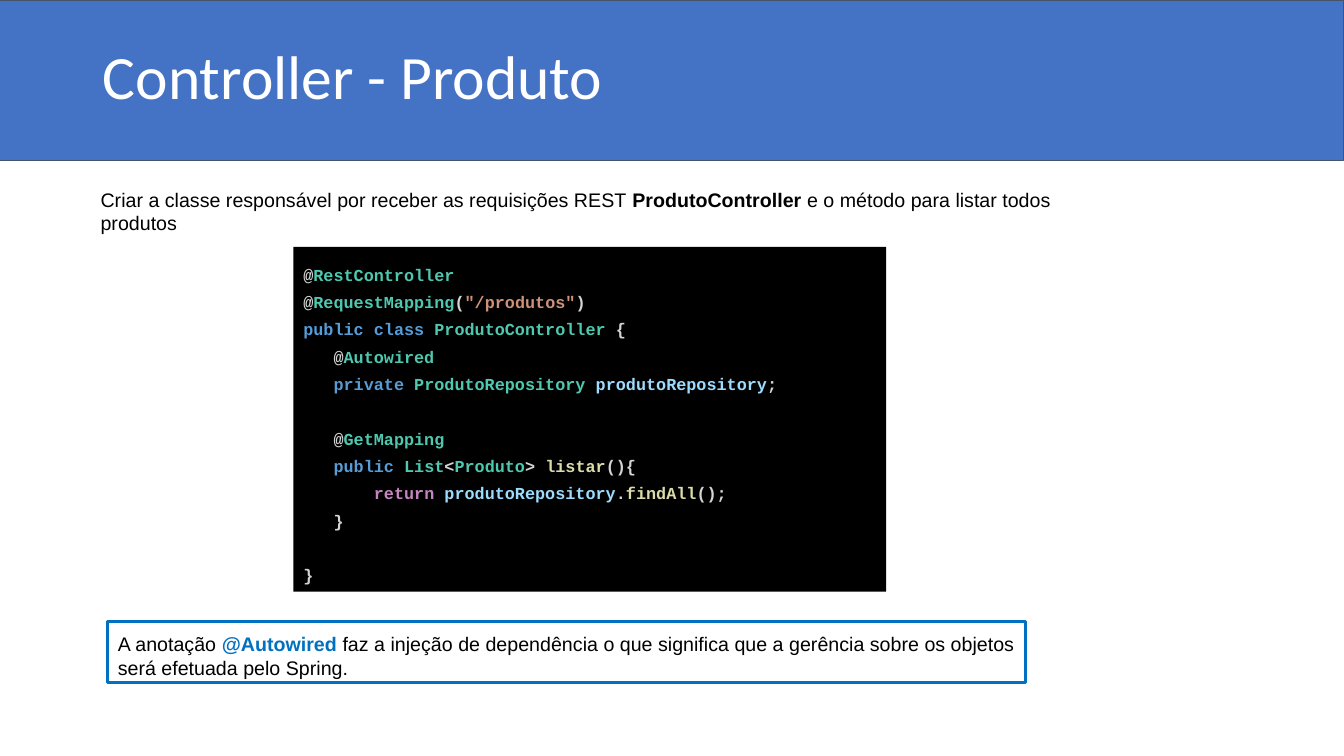
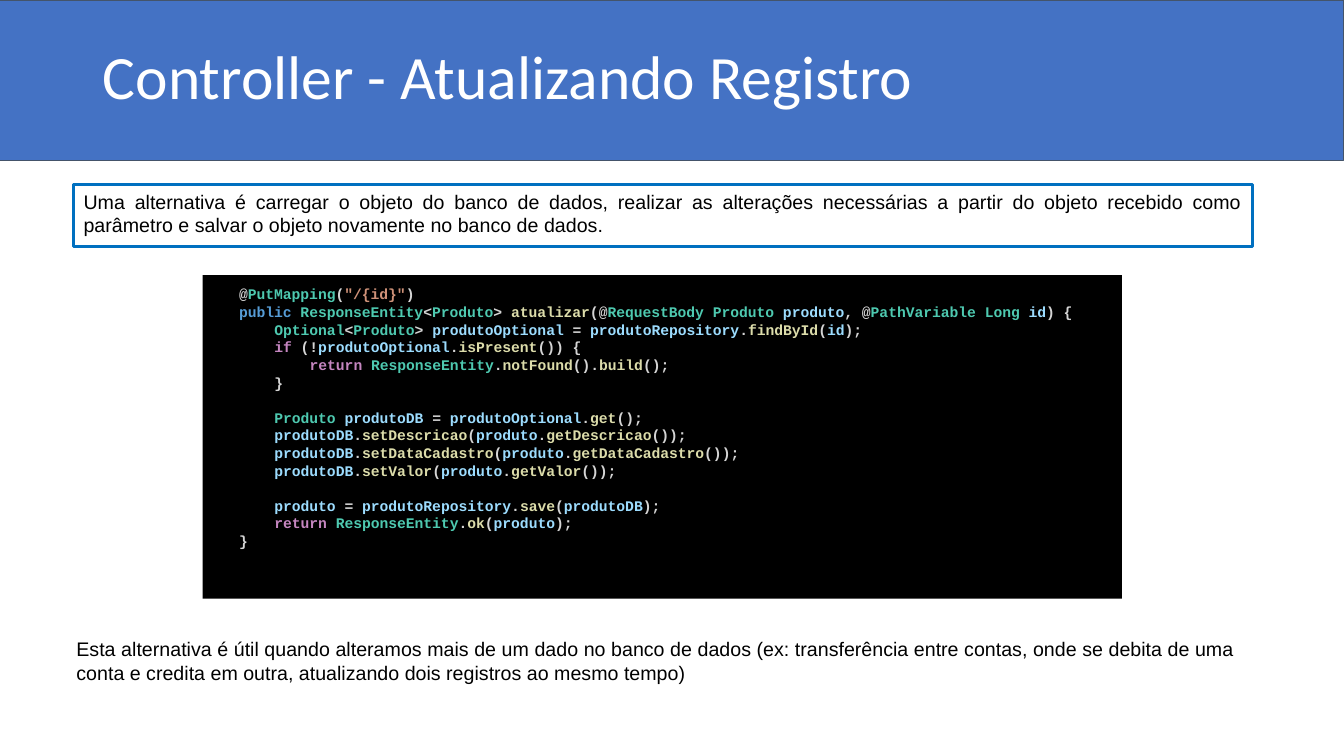
from dataclasses import dataclass
from itertools import groupby

from pptx import Presentation
from pptx import util as u
from pptx.dml.color import RGBColor
from pptx.enum import shapes, text


@dataclass(frozen=True)
class Theme:
    band: str = "4472C4"
    band_edge: str = "44546A"
    paper: str = "FFFFFF"
    ink: str = "000000"
    accent: str = "0070C0"
    plain: str = "D4D4D4"
    type_name: str = "4EC9B0"
    keyword: str = "569CD6"
    control: str = "C586C0"
    method: str = "DCDCAA"
    variable: str = "9CDCFE"
    string: str = "CE9178"
    title_font: str = "Calibri"
    body_font: str = "Arial"
    code_font: str = "Courier New"
    title_size: float = 44
    body_size: float = 14


theme = Theme()
KEYWORDS = {"public", "private", "class"}
CONTROLS = {"if", "return"}
LINE_HEIGHT = 1.19  # height of one code line, as a share of the type size
CHAR_WIDTH = 0.6    # width of one code character, as a share of the type size

LIST_CODE = """\
@RestController
@RequestMapping("/produtos")
public class ProdutoController {
   @Autowired
   private ProdutoRepository produtoRepository;

   @GetMapping
   public List<Produto> listar(){
       return produtoRepository.findAll();
   }

}"""

UPDATE_CODE = """\
   @PutMapping("/{id}")
   public ResponseEntity<Produto> atualizar(@RequestBody Produto produto, @PathVariable Long id) {
       Optional<Produto> produtoOptional = produtoRepository.findById(id);
       if (!produtoOptional.isPresent()) {
           return ResponseEntity.notFound().build();
       }

       Produto produtoDB = produtoOptional.get();
       produtoDB.setDescricao(produto.getDescricao());
       produtoDB.setDataCadastro(produto.getDataCadastro());
       produtoDB.setValor(produto.getValor());

       produto = produtoRepository.save(produtoDB);
       return ResponseEntity.ok(produto);
   }"""

# Areas are left, top, width, height in hundredths of the slide.
BAND_AREA = (0, 0, 100, 21.2)
TITLE_AREA = (6.9, 0.9, 86.25, 19.33)

# Notes: area, outline width, top inset in inches, alignment, runs (text, is key term).
# Code: area, type size, line spacing, source.
PAGES = [
    {
        "title": "Controller - Produto",
        "notes": [
            ((6.75, 23.47, 75.45, 9.2), 0, 0.1, text.PP_ALIGN.LEFT, [
                ("Criar a classe responsável por receber as requisições REST ", None),
                ("ProdutoController", theme.ink),
                (" e o método para listar todos produtos", None)]),
            ((8.03, 82.27, 68.25, 8), 2, 0.1, text.PP_ALIGN.JUSTIFY, [
                ("A anotação ", None),
                ("@Autowired", theme.accent),
                (" faz a injeção de dependência o que significa que a gerência "
                 "sobre os objetos será efetuada pelo Spring.", None)]),
        ],
        "code": ((21.83, 32.67, 44.1, 45.6), 12, 1.36, LIST_CODE),
    },
    {
        "title": "Controller - Atualizando Registro",
        "notes": [
            ((5.48, 24.4, 87.7, 8.27), 2.25, 0.05, text.PP_ALIGN.JUSTIFY, [
                ("Uma alternativa é carregar o objeto do banco de dados, realizar as "
                 "alterações necessárias a partir do objeto recebido como parâmetro e "
                 "salvar o objeto novamente no banco de dados.", None)]),
            ((4.95, 82.93, 87.7, 8.93), 0, 0.1, text.PP_ALIGN.JUSTIFY, [
                ("Esta alternativa é útil quando alteramos mais de um dado no banco de "
                 "dados (ex: transferência entre contas, onde se debita de uma conta e "
                 "credita em outra, atualizando dois registros ao mesmo tempo)", None)]),
        ],
        "code": ((15.08, 36.4, 68.4, 42.8), 10.5, 1, UPDATE_CODE),
    },
]

deck = Presentation()
deck.slide_width, deck.slide_height = u.Inches(13.33), u.Inches(7.5)


def add_box(page, area, fill=None, edge=None, edge_width=0, inset=0.1):
    """Add a flat rectangle with top-left text on the hundredths grid."""
    left, top, width, height = area
    across, down = deck.slide_width / 100, deck.slide_height / 100
    box = page.shapes.add_shape(
        shapes.MSO_SHAPE.RECTANGLE, round(left * across), round(top * down),
        round(width * across), round(height * down))
    box.shadow.inherit = False
    if fill:
        box.fill.solid()
        box.fill.fore_color.rgb = RGBColor.from_string(fill)
    else:
        box.fill.background()
    if edge_width:
        box.line.color.rgb = RGBColor.from_string(edge)
        box.line.width = u.Pt(edge_width)
    else:
        box.line.fill.background()
    frame = box.text_frame
    frame.word_wrap = True
    frame.vertical_anchor = text.MSO_ANCHOR.TOP
    frame.margin_left = frame.margin_right = u.Inches(0.1)
    frame.margin_top = frame.margin_bottom = u.Inches(inset)
    return box


def add_span(para, words, font, size, color, bold=False):
    span = para.add_run()
    span.text = words
    span.font.name = font
    span.font.size = u.Pt(size)
    span.font.bold = bold
    span.font.color.rgb = RGBColor.from_string(color)


layout = deck.slide_layouts.get_by_name("Title Only")
layout_title = layout.placeholders[0]
layout_title.left, layout_title.width = (
    round(deck.slide_width * share / 100) for share in TITLE_AREA[::2])
layout_title.top, layout_title.height = (
    round(deck.slide_height * share / 100) for share in TITLE_AREA[1::2])

for number, content in enumerate(PAGES):
    page = deck.slides.add_slide(layout)
    if number == 0:
        # The band is moved to the layout, behind its title, so all pages share it.
        band = add_box(page, BAND_AREA, theme.band, theme.band_edge, 0.75)
        layout.shapes.element.insert(2, band.element)

    frame = page.shapes.title.text_frame
    frame.vertical_anchor = text.MSO_ANCHOR.MIDDLE
    para = frame.paragraphs[0]
    para.alignment = text.PP_ALIGN.LEFT
    para.line_spacing = 0.9
    add_span(para, content["title"], theme.title_font, theme.title_size, theme.paper)

    for area, edge_width, inset, alignment, spans in content["notes"]:
        box = add_box(page, area, None, theme.accent, edge_width, inset)
        para = box.text_frame.paragraphs[0]
        para.alignment = alignment
        for words, key_color in spans:
            add_span(para, words, theme.body_font, theme.body_size,
                     key_color or theme.ink, bold=key_color is not None)

    area, size, spacing, source = content["code"]
    frame = add_box(page, area, theme.ink).text_frame
    blank_lines = 0
    for row, line in enumerate(source.splitlines()):
        if not line:
            blank_lines += 1
            continue
        para = frame.add_paragraph() if row else frame.paragraphs[0]
        para.alignment = text.PP_ALIGN.LEFT
        para.line_spacing = spacing
        para.space_before = u.Pt(round(blank_lines * size * LINE_HEIGHT * spacing, 1))
        blank_lines = 0
        code = line.lstrip()
        indent = (len(line) - len(code)) * size * CHAR_WIDTH
        properties = para._p.get_or_add_pPr()
        properties.set("marL", str(u.Pt(indent)))
        properties.set("indent", "0")

        for part, chunk in enumerate(code.split('"')):
            if part % 2:
                add_span(para, f'"{chunk}"', theme.code_font, size, theme.string, True)
                continue
            tokens = ["".join(group) for _, group in groupby(chunk, str.isalnum)]
            for token, follower in zip(tokens, tokens[1:] + [""]):
                if not token.isalnum():
                    color = theme.plain
                elif token in KEYWORDS:
                    color = theme.keyword
                elif token in CONTROLS:
                    color = theme.control
                elif token[0].isupper():
                    color = theme.type_name
                elif follower.startswith("("):
                    color = theme.method
                else:
                    color = theme.variable
                add_span(para, token, theme.code_font, size, color, True)

deck.save("out.pptx")
